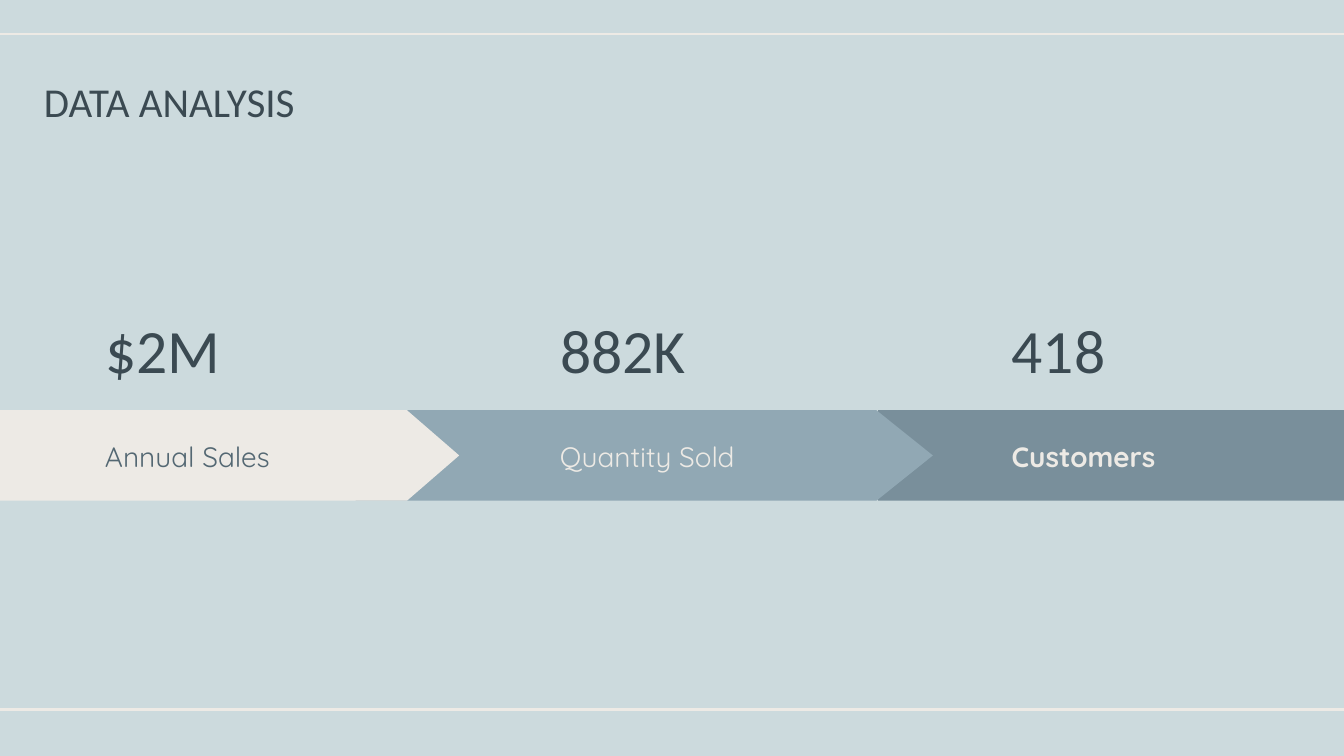
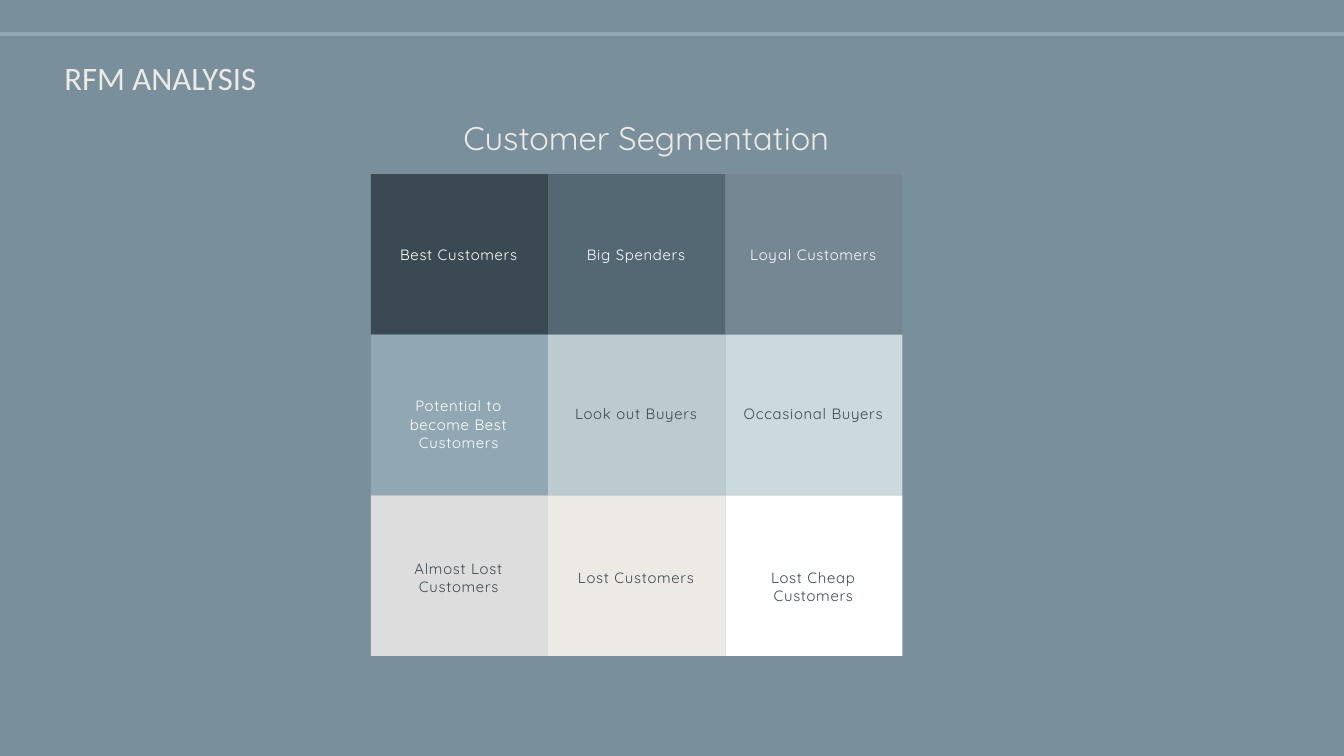
from dataclasses import dataclass

from lxml.etree import SubElement
from pptx import Presentation
from pptx.dml.color import RGBColor
from pptx.enum.shapes import MSO_CONNECTOR, MSO_SHAPE
from pptx.enum.text import MSO_ANCHOR, MSO_AUTO_SIZE, PP_ALIGN
from pptx.oxml.ns import qn
from pptx.shapes.autoshape import Shape
from pptx.slide import Slide
from pptx.util import Pt

COLORS = {
    "ink": "3B4A52",
    "slate": "546873",
    "steel": "748792",
    "gray": "798F9B",
    "blue": "91A8B4",
    "sage": "BCCBCE",
    "mist": "CCDADD",
    "ash": "DDDDDD",
    "cream": "EDEAE5",
    "white": "FFFFFF",
}
WIDTH, HEIGHT = 1440, 810
RULE_TOP, RULE_LOW = 36.5, 760.5


@dataclass(frozen=True)
class Style:
    size: float
    lead: float
    color: str
    font: str = "Quicksand"
    bold: bool = False
    align: PP_ALIGN = PP_ALIGN.LEFT
    track: float = 0


@dataclass(frozen=True)
class Box:
    left: float
    top: float
    width: float
    height: float


@dataclass(frozen=True)
class Step:
    value: str
    label: str
    text_left: float
    left: float
    right: float
    tip: float
    fill: str
    color: str
    bold: bool = False


@dataclass(frozen=True)
class Column:
    text_left: float
    text_width: float


@dataclass(frozen=True)
class Cell:
    label: str
    fill: str
    color: str
    text_top: float
    lines: int = 1


def rgb(name: str) -> RGBColor:
    return RGBColor.from_string(COLORS[name])


# Shared parts
def write(shape: Shape, text: str, box: Box, style: Style) -> None:
    """Place a text shape and style its one paragraph."""
    shape.left, shape.top = Pt(box.left), Pt(box.top)
    shape.width, shape.height = Pt(box.width), Pt(box.height)
    frame = shape.text_frame
    frame.word_wrap = True
    frame.auto_size = MSO_AUTO_SIZE.SHAPE_TO_FIT_TEXT
    frame.vertical_anchor = MSO_ANCHOR.TOP
    frame.margin_left = frame.margin_right = 0
    frame.margin_top = frame.margin_bottom = 0
    para = frame.paragraphs[0]
    run = para.add_run()
    run.text = text
    para.alignment = style.align
    para.line_spacing = Pt(style.lead)
    para.font.name = style.font
    para.font.size = Pt(style.size)
    para.font.bold = style.bold
    para.font.color.rgb = rgb(style.color)
    if style.track:
        run._r.get_or_add_rPr().set("spc", str(round(style.track * 100)))


def add_text(slide: Slide, text: str, box: Box, style: Style) -> None:
    write(slide.shapes.add_textbox(0, 0, 0, 0), text, box, style)


def add_block(slide: Slide, kind: MSO_SHAPE, box: Box, fill: str) -> Shape:
    shape = slide.shapes.add_shape(
        kind, Pt(box.left), Pt(box.top), Pt(box.width), Pt(box.height))
    shape.shadow.inherit = False
    shape.fill.solid()
    shape.fill.fore_color.rgb = rgb(fill)
    shape.line.fill.background()
    return shape


def add_rule(slide: Slide, top: float, color: str, weight: float) -> None:
    rule = slide.shapes.add_connector(
        MSO_CONNECTOR.STRAIGHT, 0, Pt(top), Pt(WIDTH), Pt(top))
    rule.line.color.rgb = rgb(color)
    rule.line.width = Pt(weight)
    SubElement(rule._element.spPr, qn("a:effectLst"))


def add_slide(deck: Presentation, ground: str, title: str, box: Box,
              style: Style) -> Slide:
    slide = deck.slides.add_slide(deck.slide_layouts[5])
    slide.background.fill.solid()
    slide.background.fill.fore_color.rgb = rgb(ground)
    write(slide.shapes.title, title, box, style)
    return slide


# Slide 1: three figures over a band of arrows
BAND_TOP, BAND_HIGH = 439.5, 97
STEPS = [
    Step("$2M", "Annual Sales", 112.5, 0, 492, 56, "cream", "slate"),
    Step("882K", "Quantity Sold", 600, 381, 999.5, 60.5, "blue", "cream"),
    Step("418", "Customers", 1084, 941, WIDTH, 0, "gray", "cream", True),
]


def draw_data(deck: Presentation) -> None:
    slide = add_slide(deck, "mist", "DATA ANALYSIS", Box(47, 79, 577, 54),
                      Style(44, 55.9, "ink", "Calibri"))
    # The last step lies at the back
    for step in reversed(STEPS):
        box = Box(step.left, BAND_TOP, step.right - step.left, BAND_HIGH)
        kind = MSO_SHAPE.PENTAGON if step.tip else MSO_SHAPE.RECTANGLE
        block = add_block(slide, kind, box, step.fill)
        if step.tip:
            block.adjustments[0] = step.tip / BAND_HIGH
    for step in STEPS:
        add_text(slide, step.value, Box(step.text_left, 320.5, 290, 88.5),
                 Style(66, 92.4, "ink", "Calibri"))
        add_text(slide, step.label, Box(step.text_left, 466.5, 252, 40.5),
                 Style(30, 40.6, step.color, bold=step.bold))
    for top in (RULE_TOP, RULE_LOW):
        add_rule(slide, top, "cream", 3)


# Slide 2: three by three grid of buyer groups
GRID_LEFT, GRID_TOP = 397.5, 186.5
CELL_WIDE, CELL_HIGH = 189.8, 172.1
LINE = 20
COLUMNS = [Column(418.5, 146), Column(607.5, 148), Column(791, 161)]
ROWS = [
    [Cell("Best Customers", "ink", "white", 263),
     Cell("Big Spenders", "slate", "white", 263),
     Cell("Loyal Customers", "steel", "white", 263)],
    [Cell("Potential to become Best Customers", "blue", "white", 425, 3),
     Cell("Look out Buyers", "sage", "ink", 433),
     Cell("Occasional Buyers", "mist", "ink", 433)],
    [Cell("Almost Lost Customers", "ash", "ink", 599, 2),
     Cell("Lost Customers", "cream", "ink", 608.5),
     Cell("Lost Cheap Customers", "white", "ink", 608.5, 2)],
]


def draw_groups(deck: Presentation) -> None:
    slide = add_slide(deck, "gray", "RFM ANALYSIS", Box(69, 54.5, 590, 47),
                      Style(35, 49, "cream", "Calibri"))
    add_rule(slide, RULE_TOP, "blue", 3.75)
    add_text(slide, "Customer Segmentation", Box(397.5, 119.5, 590, 47),
             Style(35, 49, "cream", align=PP_ALIGN.CENTER))
    for r, row in enumerate(ROWS):
        for c, (cell, column) in enumerate(zip(row, COLUMNS)):
            add_block(slide, MSO_SHAPE.RECTANGLE,
                      Box(GRID_LEFT + c * CELL_WIDE, GRID_TOP + r * CELL_HIGH,
                          CELL_WIDE, CELL_HIGH), cell.fill)
            add_text(slide, cell.label,
                     Box(column.text_left, cell.text_top, column.text_width,
                         cell.lines * LINE),
                     Style(16, 19.6, cell.color, align=PP_ALIGN.CENTER,
                           track=0.8))


def main() -> None:
    deck = Presentation()
    deck.slide_width, deck.slide_height = Pt(WIDTH), Pt(HEIGHT)
    draw_data(deck)
    draw_groups(deck)
    deck.save("out.pptx")


if __name__ == "__main__":
    main()
